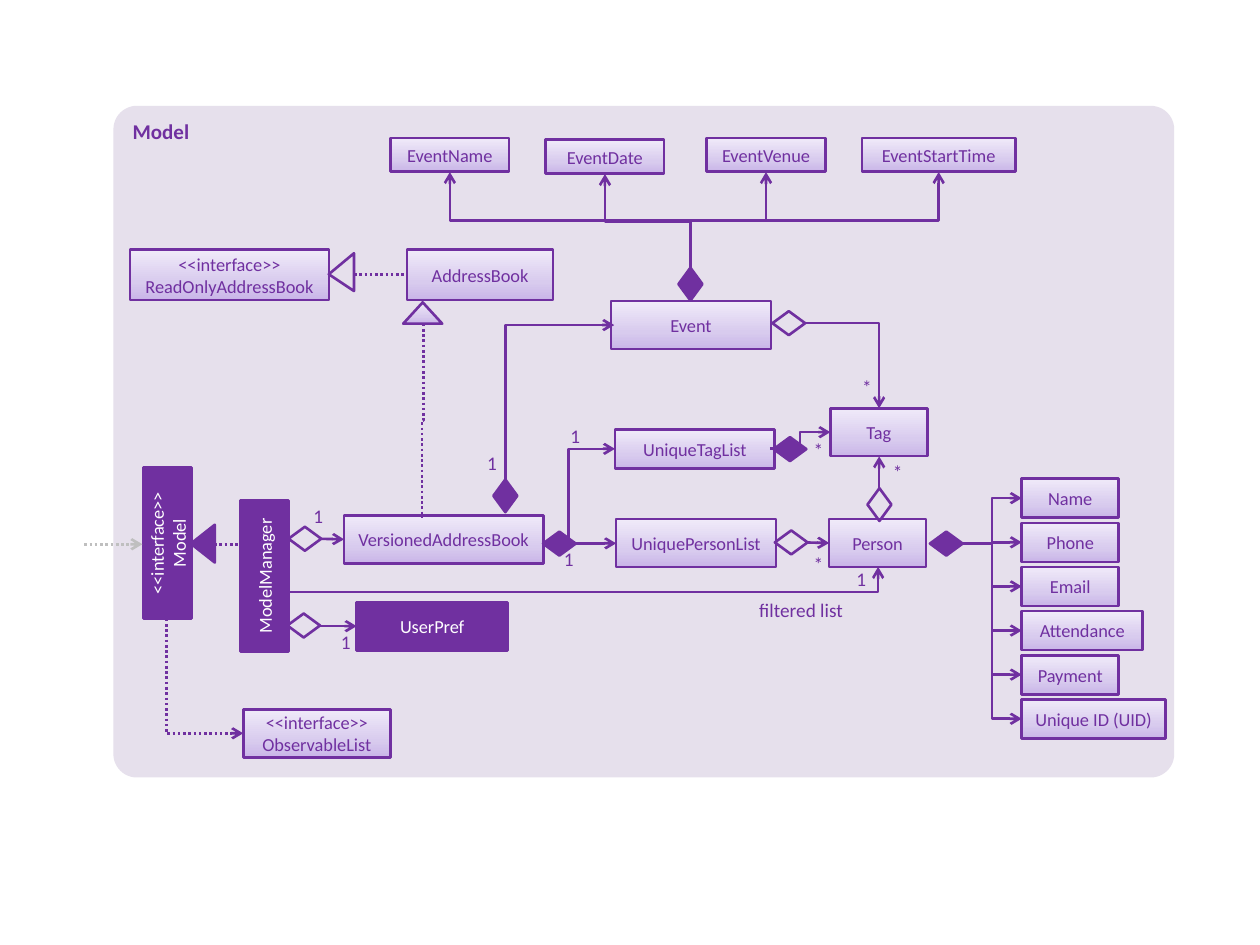
import copy
import dataclasses
import pptx
import pptx.dml.color
import pptx.enum.dml
import pptx.enum.shapes
import pptx.enum.text
import pptx.oxml.ns
import pptx.util
from lxml import etree

Pt = pptx.util.Pt
RGB = pptx.dml.color.RGBColor.from_string
KIND = pptx.enum.shapes.MSO_SHAPE
ALIGN = pptx.enum.text.PP_ALIGN
qn = pptx.oxml.ns.qn


@dataclasses.dataclass
class Theme:
    """Colours, type sizes and line width of the diagram."""
    font: str = "Calibri"
    ink: str = "7030A0"
    pale: str = "E6E0EC"
    white: str = "FFFFFF"
    grey: str = "BFBFBF"
    shade: tuple = ((0, "C9B5E8"), (0.35, "D8CBEE"), (1, "F0EAF9"))
    head: float = 12
    body: float = 10.5
    note: float = 11
    line: float = 1.5


theme = Theme()
deck = pptx.Presentation()
deck.slide_width, deck.slide_height = Pt(720), Pt(540)
slide = deck.slides.add_slide(deck.slide_layouts[6])


def put(kind, left, top, width, height, fill="shade", text="", turn=0):
    """Add a shape filled with a colour, the shade, or nothing, and its text."""
    shape = slide.shapes.add_shape(kind, Pt(left), Pt(top), Pt(width), Pt(height))
    shape.shadow.inherit = False
    shape.rotation = turn
    shape.line.color.rgb = RGB(theme.ink)
    shape.line.width = Pt(theme.line)
    if fill == "shade":
        shape.fill.gradient()
        shape.fill.gradient_angle = 90
        stops = shape.element.spPr.find(".//" + qn("a:gsLst"))
        stops.insert(1, copy.deepcopy(stops[0]))
        for stop, (spot, tone) in zip(shape.fill.gradient_stops, theme.shade):
            stop.position = spot
            stop.color.rgb = RGB(tone)
    elif fill:
        shape.fill.solid()
        shape.fill.fore_color.rgb = RGB(fill)
    else:
        shape.fill.background()
    if text:
        shape.text_frame.text = text
        for para in shape.text_frame.paragraphs:
            para.alignment = ALIGN.CENTER
            for run in para.runs:
                run.font.name = theme.font
                run.font.size = Pt(theme.body)
                run.font.color.rgb = RGB(theme.white if fill == theme.ink else theme.ink)
    return shape


def link(start, end, bend="", head=True, dots=False, color=theme.ink):
    """Join two points: straight, or bent as HVH, VHV, HV or VH."""
    (x1, y1), (x2, y2) = start, end
    turn = 0
    if bend.startswith("V"):
        # A vertical start is a horizontal one given a quarter turn.
        turn = 90 if (x2 - x1) * (y2 - y1) < 0 else 270
        sign = 1 if turn == 90 else -1
        mid_x, mid_y = (x1 + x2) / 2, (y1 + y2) / 2
        half_w, half_h = sign * (y2 - y1) / 2, sign * (x1 - x2) / 2
        x1, y1 = mid_x - half_w, mid_y - half_h
        x2, y2 = mid_x + half_w, mid_y + half_h
    types = pptx.enum.shapes.MSO_CONNECTOR
    wire = slide.shapes.add_connector(
        types.ELBOW if bend else types.STRAIGHT, Pt(x1), Pt(y1), Pt(x2), Pt(y2))
    frame = wire.element.spPr
    if turn:
        frame.find(qn("a:xfrm")).set("rot", str(turn * 60000))
    if len(bend) == 2:
        frame.find(qn("a:prstGeom")).set("prst", "bentConnector2")
    wire.line.color.rgb = RGB(color)
    wire.line.width = Pt(theme.line)
    if dots:
        wire.line.dash_style = pptx.enum.dml.MSO_LINE.ROUND_DOT
    if head:
        etree.SubElement(frame.find(qn("a:ln")), qn("a:tailEnd"), type="arrow")
    etree.SubElement(frame, qn("a:effectLst"))


panel = put(KIND.ROUNDED_RECTANGLE, 64.8, 60.5, 606.2, 383.8, theme.pale, "Model")
panel.adjustments[0] = 0.035
panel.line.fill.background()
panel.text_frame.vertical_anchor = pptx.enum.text.MSO_ANCHOR.TOP
title = panel.text_frame.paragraphs[0]
title.alignment = ALIGN.LEFT
title.runs[0].font.size = Pt(theme.head)
title.runs[0].font.bold = True

# Dark boxes
for text, left, top, turn in (
        ("UserPref", 203.8, 344.2, 0),
        ("ModelManager", 108, 315.4, 270),
        ("<<interface>>\nModel", 52.6, 296.6, 270)):
    put(KIND.RECTANGLE, left, top, 86.4, 27.4, theme.ink, text, turn)

# Shaded boxes
for text, left, top, width, height in (
        ("VersionedAddressBook", 196.6, 294.5, 113.8, 27.4),
        ("UniquePersonList", 352.1, 296.6, 91.4, 27.4),
        ("Person", 473.8, 296.6, 55.4, 27.4),
        ("UniqueTagList", 351.4, 245.5, 91.4, 22.3),
        ("Tag", 474.5, 233.3, 55.4, 27.4),
        ("Event", 349.2, 172.1, 91.4, 27.4),
        ("<<interface>>\vObservableList", 139, 405.4, 84.2, 27.4),
        ("<<interface>>\vReadOnlyAddressBook", 74.2, 142.6, 113.8, 28.8),
        ("AddressBook", 232.6, 142.6, 83.5, 28.8)):
    put(KIND.RECTANGLE, left, top, width, height, text=text)

# Diamonds
for left, top, turn, fill in (
        (164.2, 350.6, 0, None), (164.9, 301, 0, None),
        (310.3, 303.8, 0, theme.ink), (442.8, 303.1, 0, None),
        (531.4, 303.8, 0, theme.ink), (493.2, 281.5, 270, None),
        (442.1, 249.8, 0, theme.ink), (279.4, 276.5, 90, theme.ink),
        (441.4, 177.8, 180, None), (385.2, 155.5, 270, theme.ink)):
    put(KIND.FLOWCHART_DECISION, left, top, 18.7, 13.7, fill, turn=turn)

# Parts of a person
for row, (text, width) in enumerate((
        ("Name", 55.4), ("Phone", 55.4), ("Email", 55.4),
        ("Attendance", 69.1), ("Payment", 55.4), ("Unique ID (UID)", 82.1))):
    top = 273.6 + 25.2 * row
    put(KIND.RECTANGLE, 583.9, top, width, 22.3, text=text)
    link((550.1, 310.5), (583.9, top + 11.1), "HVH")

# Parts of an event
for text, left, top, width in (
        ("EventName", 223.2, 78.8, 67.7), ("EventDate", 311.8, 79.9, 67.7),
        ("EventVenue", 403.9, 78.8, 67.7), ("EventStartTime", 492.5, 78.8, 87.8)):
    put(KIND.RECTANGLE, left, top, width, 19.4, text=text)
    link((394.6, 153.4), (left + width / 2, top + 19.6), "VHV")

# Solid links
for start, end, bend in (
        ((164.9, 338.4), (501.8, 324), "HV"),
        ((182.2, 357.8), (203.8, 357.8), ""),
        ((183.6, 307.9), (196.6, 308.2), ""),
        ((329, 310.5), (352.1, 310.5), ""),
        ((461.5, 310), (473.8, 310.3), ""),
        ((324.7, 312.5), (351.4, 256.5), "VH"),
        ((440, 256.3), (474.5, 247), "HVH"),
        ((502.4, 278.6), (502.4, 260.8), ""),
        ((288.7, 274.3), (351, 185.8), "VH"),
        ((460.1, 184.5), (502.4, 233.3), "HV")):
    link(start, end, bend)

# Dotted links
link((48.2, 311), (81.4, 311), dots=True, color=theme.grey)
link((122.4, 311), (139.7, 311), head=False, dots=True)
link((95, 353.5), (139, 419), "VH", dots=True)
link((241.9, 185), (241.2, 296), "VHV", head=False, dots=True)
link((202.3, 157), (232.6, 157), head=False, dots=True)

# Triangles
put(KIND.ISOSCELES_TRIANGLE, 105.1, 303.8, 21.6, 13.7, theme.ink, turn=270)
put(KIND.ISOSCELES_TRIANGLE, 230.4, 172.8, 22.3, 12.2)
tip = put(KIND.ISOSCELES_TRIANGLE, 184.3, 148.3, 21.6, 14.4, theme.pale, turn=270)
tip.adjustments[0] = 0.445

# Counts and notes
for text, left, top, width in (
        ("1", 317.5, 312.5, 15.1), ("*", 460.1, 315.4, 15.1),
        ("1", 178.6, 288, 6.5), ("1", 190.1, 360, 15.1),
        ("1", 484.6, 324, 15.1), ("*", 505.4, 262.8, 15.1),
        ("*", 460.1, 250.6, 15.1), ("1", 321.1, 242.6, 15.1),
        ("1", 273.6, 257.8, 15.1), ("*", 487.8, 214.6, 15.1),
        ("filtered list", 427, 342, 54.7)):
    label = slide.shapes.add_textbox(Pt(left), Pt(top), Pt(width), Pt(14.4))
    frame = label.text_frame
    frame.word_wrap = True
    frame.margin_left = frame.margin_right = frame.margin_top = frame.margin_bottom = 0
    frame.text = text
    para = frame.paragraphs[0]
    para.alignment = ALIGN.RIGHT if len(text) > 1 else ALIGN.CENTER
    para.runs[0].font.name = theme.font
    para.runs[0].font.size = Pt(theme.note)
    para.runs[0].font.color.rgb = RGB(theme.ink)

deck.save("out.pptx")
